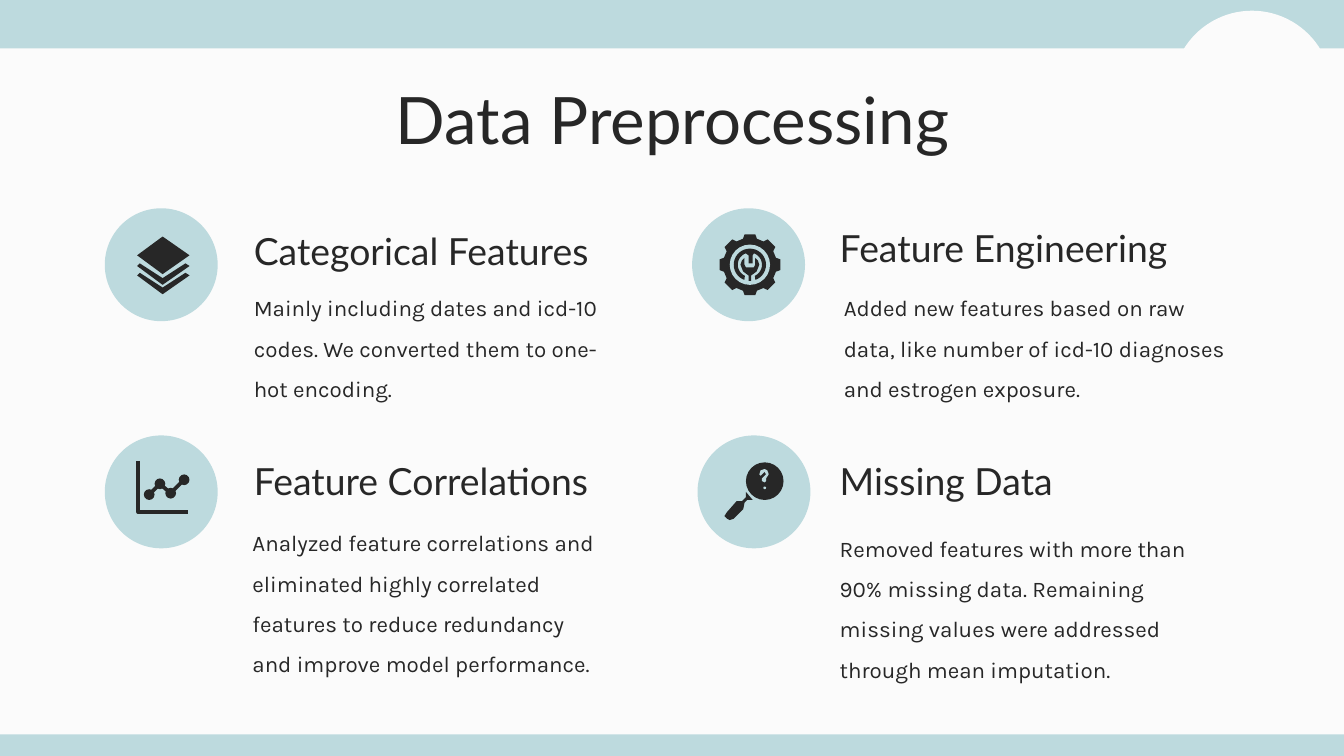
"""Build the Data Preprocessing slide with four icon topics."""
from math import cos, radians, sin

from pptx import Presentation
from pptx.dml.color import RGBColor
from pptx.enum import shapes, text
from pptx.util import Inches, Pt

PALE = RGBColor(0xBD, 0xDA, 0xDE)
DARK = RGBColor(0x27, 0x27, 0x27)
PAPER = RGBColor(0xFB, 0xFB, 0xFB)
OVAL = shapes.MSO_SHAPE.OVAL
RECTANGLE = shapes.MSO_SHAPE.RECTANGLE


def write(box, words, font="Karla", size=12, align=text.PP_ALIGN.LEFT,
          anchor=text.MSO_ANCHOR.TOP, spacing=1.0, after=0):
    frame = box.text_frame
    frame.word_wrap = True
    frame.auto_size = text.MSO_AUTO_SIZE.NONE
    frame.vertical_anchor = anchor
    frame.margin_left = frame.margin_right = Inches(0.1)
    frame.margin_top = frame.margin_bottom = Inches(0.1)
    para = frame.paragraphs[0]
    para.alignment = align
    para.line_spacing = spacing
    para.space_after = Pt(after)
    span = para.add_run()
    span.text = words
    span.font.name = font
    span.font.size = Pt(size)
    span.font.color.rgb = DARK


def paint(shape, fill=None, line=None):
    shape.shadow.inherit = False
    if fill is None:
        shape.fill.background()
    else:
        shape.fill.solid()
        shape.fill.fore_color.rgb = fill
    if line is None:
        shape.line.fill.background()
    else:
        shape.line.color.rgb = line
        shape.line.width = Pt(2)


deck = Presentation()
deck.slide_width = Inches(10)
deck.slide_height = Inches(10) * 9 // 16
page = deck.slides.add_slide(deck.slide_layouts[5])
page.background.fill.solid()
page.background.fill.fore_color.rgb = PAPER

for top, height in ((deck.slide_height - Inches(0.16), 0.16), (0, 0.36)):
    band = page.shapes.add_shape(RECTANGLE, 0, top, deck.slide_width, Inches(height))
    paint(band, PALE)

title = page.shapes.title
title.left, title.top = Inches(0.79), Inches(0.49)
title.width, title.height = Inches(8.43), Inches(0.63)
write(title, "Data Preprocessing", font="Lato", size=35, align=text.PP_ALIGN.CENTER)

topics = [
    ("Categorical Features", 1.79, 1.69, 0.78, 1.55,
     "Mainly including dates and icd-10 codes. We converted them to one-hot encoding.",
     (1.79, 1.99, 2.9, 1.12)),
    ("Feature Engineering", 6.15, 1.67, 5.15, 1.55,
     "Added new features based on raw data, like number of icd-10 diagnoses and estrogen exposure.",
     (6.18, 1.99, 3.06, 1.12)),
    ("Feature Correlations", 1.79, 3.4, 0.78, 3.24,
     "Analyzed feature correlations and eliminated highly correlated features to reduce "
     "redundancy and improve model performance.",
     (1.78, 3.74, 2.81, 1.34)),
    ("Missing Data", 6.15, 3.4, 5.19, 3.24,
     "Removed features with more than 90% missing data. Remaining missing values were "
     "addressed through mean imputation.",
     (6.15, 3.78, 3.06, 1.42)),
]
for heading, left, top, disc_left, disc_top, detail, place in topics:
    body = page.shapes.add_textbox(*map(Inches, place))
    write(body, detail, spacing=1.5, after=8)
    label = page.shapes.add_textbox(Inches(left), Inches(top), Inches(3.06), Inches(0.44))
    write(label, heading, font="Lato", size=20, anchor=text.MSO_ANCHOR.BOTTOM)
    disc = page.shapes.add_shape(OVAL, Inches(disc_left), Inches(disc_top),
                                 Inches(0.84), Inches(0.84))
    paint(disc, PALE)

gear_x, gear_y = 5.58, 1.97
gear = [(gear_x + radius * cos(radians(45 * tooth + turn)),
         gear_y + radius * sin(radians(45 * tooth + turn)))
        for tooth in range(8)
        for turn, radius in ((-15, 0.2), (-10, 0.23), (10, 0.23), (15, 0.2))]
outer, right, left = [
    [(gear_x + radius * cos(radians(angle)), gear_y + radius * sin(radians(angle)))
     for angle in range(start, stop, step)]
    for radius, start, stop, step in
    ((0.12, 110, 431, 10), (0.09, 426, 289, -8), (0.09, 250, 113, -8))]
ring = outer + right + [(5.6, 1.9), (5.6, 1.96), (5.57, 1.96), (5.57, 1.9)] + left
wrench = [(5.54, 1.92), (5.52, 1.94), (5.51, 1.97), (5.53, 2.02), (5.57, 2.05),
          (5.57, 2.09), (5.59, 2.09), (5.59, 2.05), (5.63, 2.02), (5.65, 1.97),
          (5.64, 1.94), (5.62, 1.92), (5.62, 1.97), (5.61, 1.99), (5.55, 1.99),
          (5.54, 1.97)]
handle = [(5.55, 3.66), (5.55, 3.7), (5.52, 3.73), (5.48, 3.73), (5.41, 3.81),
          (5.39, 3.84), (5.41, 3.86), (5.43, 3.87), (5.46, 3.86), (5.53, 3.79),
          (5.54, 3.74), (5.56, 3.72), (5.6, 3.72)]
question = [(5.65, 3.53), (5.66, 3.5), (5.69, 3.49), (5.71, 3.5), (5.72, 3.53),
            (5.7, 3.56), (5.7, 3.58), (5.69, 3.59), (5.67, 3.58), (5.67, 3.56),
            (5.7, 3.53), (5.69, 3.51), (5.67, 3.53), (5.66, 3.54)]
trend = [(1.11, 3.68), (1.19, 3.6), (1.27, 3.67), (1.37, 3.57)]
axes = [(1.03, 3.43), (1.03, 3.81), (1.4, 3.81)]
sheet = [(1.21, 1.76), (1.41, 1.9), (1.21, 2.04), (1.02, 1.9)]
chevrons = [[(1.04, top), (1.02, top + 0.02), (1.21, top + 0.16), (1.41, top + 0.02),
             (1.38, top), (1.21, top + 0.11)] for top in (1.96, 2.03)]

outlines = [(points, DARK, None) for points in (sheet, *chevrons, gear, handle)]
outlines += [(axes, None, DARK), (trend, None, DARK)]
dots = [(x, y, 0.04, DARK) for x, y in trend]
dots += [(gear_x, gear_y, 0.15, PALE), (5.69, 3.58, 0.14, DARK), (5.69, 3.63, 0.01, PALE)]
details = [(ring, DARK, None), (wrench, DARK, None), (question, PALE, None)]

for item in outlines + dots + details:
    if len(item) == 4:
        x, y, radius, fill = item
        dot = page.shapes.add_shape(OVAL, Inches(x - radius), Inches(y - radius),
                                    Inches(2 * radius), Inches(2 * radius))
        paint(dot, fill)
    else:
        points, fill, line = item
        corners = [(Inches(x), Inches(y)) for x, y in points]
        builder = page.shapes.build_freeform(*corners[0])
        builder.add_line_segments(corners[1:], close=line is None)
        paint(builder.convert_to_shape(), fill, line)

notch = page.shapes.add_shape(OVAL, Inches(8.72), Inches(0.08), Inches(1.19), Inches(1.19))
paint(notch, PAPER)

deck.save("out.pptx")
